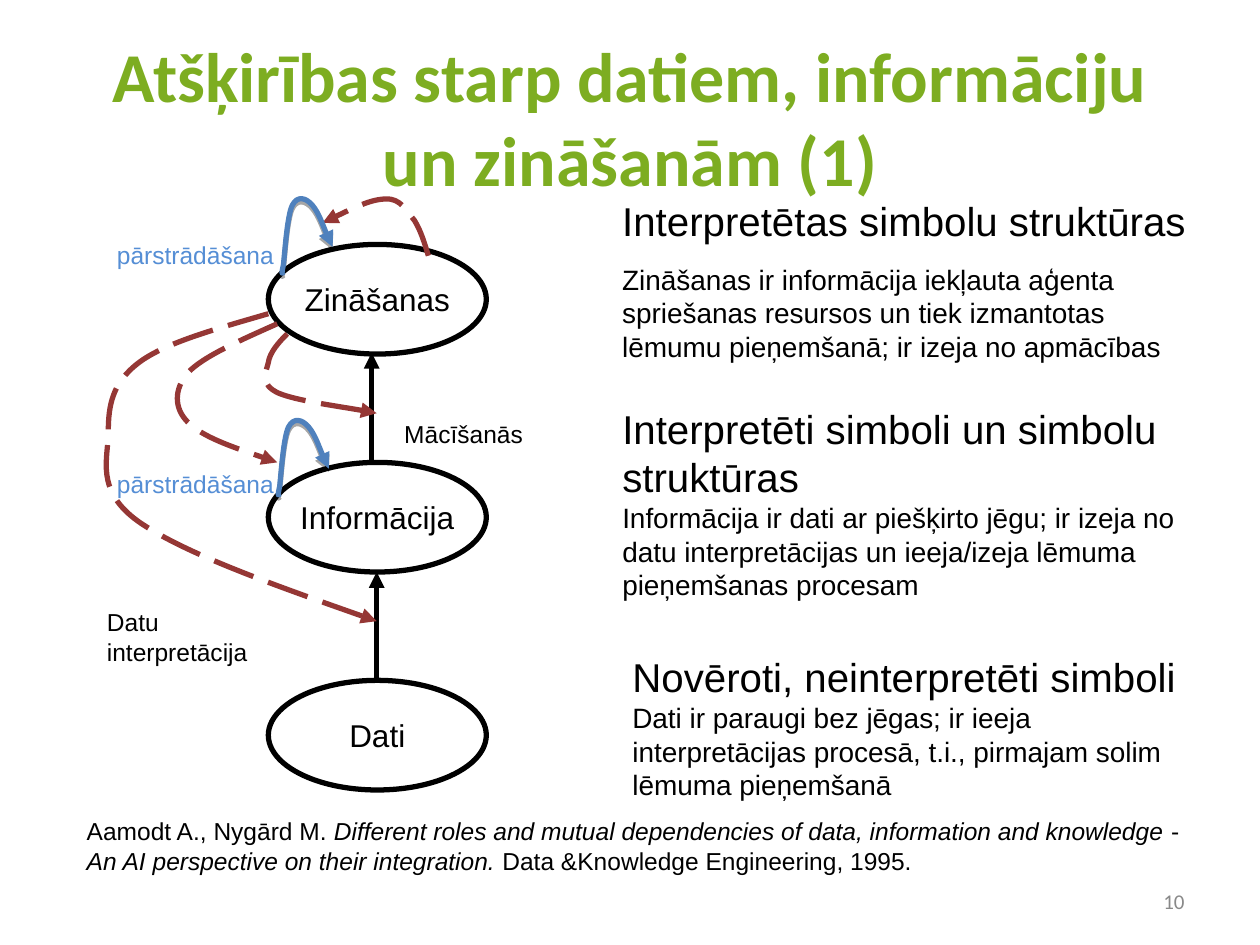
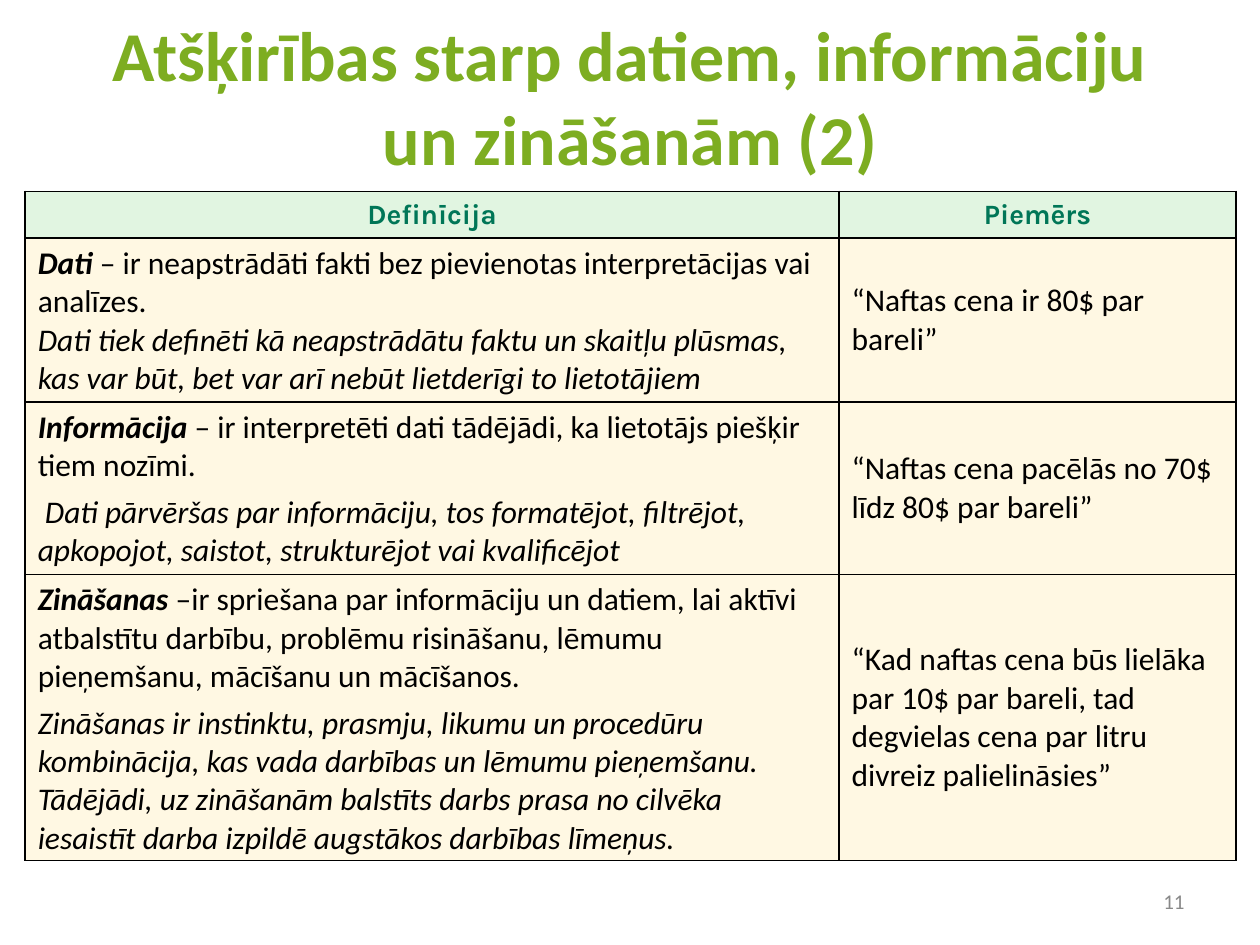
from lxml import etree
from pptx import Presentation
from pptx.dml.color import RGBColor
from pptx.enum.dml import MSO_LINE
from pptx.enum.shapes import MSO_CONNECTOR, MSO_SHAPE
from pptx.enum.text import MSO_ANCHOR, MSO_AUTO_SIZE, PP_ALIGN
from pptx.oxml.ns import qn
from pptx.util import Inches, Pt

OVAL, RECT = MSO_SHAPE.OVAL, MSO_SHAPE.RECTANGLE
STRAIGHT, DASH = MSO_CONNECTOR.STRAIGHT, MSO_LINE.LONG_DASH
MIDDLE, FIXED = MSO_ANCHOR.MIDDLE, MSO_AUTO_SIZE.NONE
LEFT, CENTER, RIGHT = PP_ALIGN.LEFT, PP_ALIGN.CENTER, PP_ALIGN.RIGHT
TITLE_ONLY = 5
COLS, ROWS = 100, 75


def paint(code):
    return RGBColor.from_string(code)


def add(node, tag, **attrs):
    return etree.SubElement(node, qn(tag), attrs)


class Deck:
    green, black, white, gray = "7DAD21", "000000", "FFFFFF", "898989"
    blue, sky, red = "4F81BD", "558ED5", "953735"
    head, mint, cream = "007657", "E1F5E1", "FFF8E3"
    sans, body = "Arial", "Calibri"

    def __init__(self):
        self.show = Presentation()
        self.show.slide_width, self.show.slide_height = Inches(10), Inches(7.5)
        self.slide = None

    def x(self, cols):
        return round(self.show.slide_width * cols / COLS)

    def y(self, rows):
        return round(self.show.slide_height * rows / ROWS)

    def box(self, left, top, wide, high):
        return self.x(left), self.y(top), self.x(wide), self.y(high)

    def style(self, para, size, color, face, align=LEFT, gap=0, bold=False):
        para.alignment = align
        para.space_before = Pt(gap)
        font = para.font
        font.size, font.name, font.bold = Pt(size), face, bold
        font.color.rgb = paint(color)

    def runs(self, para, parts):
        for text, mode in parts:
            run = para.add_run()
            run.text = text
            if mode:
                run.font.bold = "b" in mode
                run.font.italic = "i" in mode

    def page(self, title, top, number):
        layout = self.show.slide_layouts[TITLE_ONLY]
        self.slide = self.show.slides.add_slide(layout)
        shape = self.slide.shapes.title
        shape.left, shape.top, shape.width, shape.height = self.box(5, top, 90, 12.5)
        frame = shape.text_frame
        frame.text = ""
        frame.auto_size, frame.vertical_anchor = FIXED, MIDDLE
        para = frame.paragraphs[0]
        para.text = title
        self.style(para, 40, self.green, self.body, CENTER, bold=True)
        foot = self.label(number, (71.7, 69.5, 23.3, 4), 12, self.gray, self.body, RIGHT)
        foot.vertical_anchor = MIDDLE

    def label(self, text, area, size=14, color=black, face=sans, align=LEFT):
        frame = self.slide.shapes.add_textbox(*self.box(*area)).text_frame
        frame.word_wrap = True
        para = frame.paragraphs[0]
        para.text = text
        self.style(para, size, color, face, align)
        return frame

    def note(self, head, text, area, gap=0):
        frame = self.label(head, area, 23)
        para = frame.add_paragraph()
        para.text = text
        self.style(para, 16, self.black, self.sans, gap=gap)

    def shape(self, kind, area):
        item = self.slide.shapes.add_shape(kind, *self.box(*area))
        item.shadow.inherit = False
        return item

    def source(self, parts, area):
        item = self.shape(RECT, area)
        item.fill.solid()
        item.fill.fore_color.rgb = paint(self.white)
        item.line.fill.background()
        frame = item.text_frame
        frame.word_wrap, frame.vertical_anchor = True, MSO_ANCHOR.TOP
        self.runs(frame.paragraphs[0], parts)
        self.style(frame.paragraphs[0], 14, self.black, self.sans)

    def oval(self, text, area):
        item = self.shape(OVAL, area)
        item.fill.background()
        self.stroke(item, self.black)
        frame = item.text_frame
        frame.word_wrap, frame.vertical_anchor = False, MIDDLE
        frame.paragraphs[0].text = text
        self.style(frame.paragraphs[0], 18, self.black, self.sans, CENTER)

    def stroke(self, item, color):
        item.line.width = Pt(3)
        item.line.color.rgb = paint(color)

    def tip(self, item):
        add(item.line._get_or_add_ln(), "a:tailEnd", type="triangle")

    def arrow(self, col, start, end):
        x = self.x(col)
        item = self.slide.shapes.add_connector(STRAIGHT, x, self.y(start), x, self.y(end))
        self.stroke(item, self.black)
        self.tip(item)
        add(item._element.spPr, "a:effectLst")

    def curve(self, points, color, dash=None):
        spots = [(self.x(col), self.y(row)) for col, row in points]
        maker = self.slide.shapes.build_freeform(*spots[0])
        maker.add_line_segments(spots[1:], close=False)
        item = maker.convert_to_shape()
        item.fill.background()
        self.stroke(item, color)
        if dash:
            item.line.dash_style = dash
        self.tip(item)
        item.shadow.inherit = False
        steps = list(item._element.iter(qn("a:lnTo")))
        for at in range(0, len(steps), 3):
            bend = add(steps[at].getparent(), "a:cubicBezTo")
            for step in steps[at:at + 3]:
                bend.append(step[0])
                step.getparent().remove(step)
        return item

    def loop(self, left, top):
        shift = [(0.2, 6.1), (0.1, 6.2), (0, 6.4), (0.2, 5.5), (0.3, 4.6), (0.5, 1.6),
                 (0.9, 0.8), (1.3, 0), (2, 0.2), (2.5, 0.8), (3, 1.4), (3.8, 3.6), (4.1, 4.1)]
        item = self.curve([(left + col, top + row) for col, row in shift], self.blue)
        effect = item._element.spPr.find(qn("a:effectLst"))
        shade = add(effect, "a:outerShdw", blurRad="0", dist=str(Pt(1.8)),
                    dir="5400000", rotWithShape="0")
        tone = add(shade, "a:srgbClr", val=self.black)
        add(tone, "a:alpha", val="35000")

    def cell(self, cell, paras, fill, size, color, face, **look):
        props = cell._tc.get_or_add_tcPr()
        for side in ("a:lnL", "a:lnR", "a:lnT", "a:lnB"):
            edge = add(props, side, w=str(Pt(1.08)))
            add(add(edge, "a:solidFill"), "a:srgbClr", val=self.black)
        cell.fill.solid()
        cell.fill.fore_color.rgb = paint(fill)
        cell.vertical_anchor = MIDDLE
        cell.margin_left = cell.margin_right = Inches(0.1)
        cell.margin_top = cell.margin_bottom = Inches(0.05)
        frame = cell.text_frame
        for index, (gap, parts) in enumerate(paras):
            para = frame.add_paragraph() if index else frame.paragraphs[0]
            self.runs(para, parts)
            self.style(para, size, color, face, gap=gap, **look)

    def table(self, heads, rows, area, widths, heights):
        frame = self.slide.shapes.add_table(len(rows) + 1, len(heads), *self.box(*area))
        grid = frame.table
        for col, wide in zip(grid.columns, widths):
            col.width = self.x(wide)
        for row, high in zip(grid.rows, heights):
            row.height = self.y(high)
        for col, text in enumerate(heads):
            self.cell(grid.cell(0, col), [(0, [(text, "")])], self.mint, 16,
                      self.head, "Karla", align=CENTER, bold=True)
        for index, (term, text, gap, extra, case) in enumerate(rows, 1):
            paras = [(0, [(term, "bi"), (text, "")]), (gap, [(extra, "i")])]
            for col, part in enumerate((paras, [(0, [(case, "")])])):
                self.cell(grid.cell(index, col), part, self.cream, 18, self.black, self.body)


def levels(deck):
    deck.page("Atšķirības starp datiem, informāciju\nun zināšanām (1)", 3, "10")
    deck.source([
        ("Aamodt A., Nygārd M. ", ""),
        ("Different roles and mutual dependencies of data, information and knowledge", "i"),
        (" - ", ""),
        ("An AI perspective on their integration. ", "i"),
        ("Data &Knowledge Engineering, 1995.", ""),
    ], (5.9, 64.3, 91.4, 5.7))
    for index, name in enumerate(("Zināšanas", "Informācija", "Dati")):
        deck.oval(name, (21.3, 19.4 + 17.3 * index, 17.3, 8.7))
    deck.arrow(29.9, 54, 45.4)
    deck.arrow(29.5, 36.7, 28)
    deck.loop(22, 33.1)
    for points in (
        [(22.8, 26.5), (22.1, 27.2), (21.4, 28), (21.3, 28.8), (21.1, 29.6),
         (20.6, 30.5), (22.1, 31.2), (23.5, 31.8), (28.6, 32.5), (29.9, 32.8)],
        [(22, 25.7), (19.1, 27), (16.1, 28.3), (14.9, 29.6), (13.8, 30.9),
         (13.8, 32.4), (14.9, 33.5), (16.1, 34.7), (19.1, 35.7), (22, 36.7)],
        [(21.3, 24.9), (17.2, 26.1), (13.1, 27.2), (11, 28.8), (8.9, 30.4),
         (8.6, 32.2), (8.6, 34.3), (8.6, 36.4), (7.5, 38.9), (11, 41.4),
         (14.6, 43.9), (22.2, 46.6), (29.9, 49.3)],
        [(34, 20.3), (33.7, 19.3), (33.4, 18.3), (32.9, 17.5), (32.3, 16.8),
         (31.8, 15.7), (30.6, 15.8), (29.4, 15.8), (26.4, 17.3), (25.6, 17.7)],
    ):
        deck.curve(points, deck.red, DASH)
    for top in (18.6, 36.7):
        deck.label("pārstrādāšana", (8.3, top, 15, 3.3), color=deck.sky)
    deck.label("Datu interpretācija", (7.5, 47.7, 16.5, 5.7))
    deck.label("Mācīšanās", (31.1, 32.8, 11.8, 3.3))
    deck.note("Novēroti, neinterpretēti simboli",
              "Dati ir paraugi bez jēgas; ir ieeja interpretācijas procesā, t.i., "
              "pirmajam solim lēmuma pieņemšanā", (49.2, 51.3, 46.5, 12.8))
    deck.note("Interpretēti simboli un simbolu struktūras",
              "Informācija ir dati ar piešķirto jēgu; ir izeja no datu interpretācijas "
              "un ieeja/izeja lēmuma pieņemšanas procesam", (48.4, 31.6, 46.5, 16.7))
    deck.note("Interpretētas simbolu struktūras",
              "Zināšanas ir informācija iekļauta aģenta spriešanas resursos un tiek "
              "izmantotas lēmumu pieņemšanā; ir izeja no apmācības",
              (48.4, 15.1, 47.3, 14.2), 10)
    deck.loop(22.3, 15.5)


def terms(deck):
    deck.page("Atšķirības starp datiem, informāciju\nun zināšanām (2)", 1.3, "11")
    deck.table(("Definīcija", "Piemērs"), [
        ("Dati ", "– ir neapstrādāti fakti bez pievienotas interpretācijas vai analīzes.", 0,
         "Dati tiek definēti kā neapstrādātu faktu un skaitļu plūsmas, kas var būt, "
         "bet var arī nebūt lietderīgi to lietotājiem",
         "“Naftas cena ir 80$ par bareli”"),
        ("Informācija", " – ir interpretēti dati tādējādi, ka lietotājs piešķir tiem nozīmi.", 4.5,
         " Dati pārvēršas par informāciju, tos formatējot, filtrējot, apkopojot, "
         "saistot, strukturējot vai kvalificējot",
         "“Naftas cena pacēlās no 70$ līdz 80$ par bareli”"),
        ("Zināšanas", " –ir spriešana par informāciju un datiem, lai aktīvi atbalstītu "
         "darbību, problēmu risināšanu, lēmumu pieņemšanu, mācīšanu un mācīšanos.", 4.5,
         "Zināšanas ir instinktu, prasmju, likumu un procedūru kombinācija, kas vada "
         "darbības un lēmumu pieņemšanu. Tādējādi, uz zināšanām balstīts darbs prasa no "
         "cilvēka iesaistīt darba izpildē augstākos darbības līmeņus.",
         "“Kad naftas cena būs lielāka par 10$ par bareli, tad degvielas cena par litru "
         "divreiz palielināsies”"),
    ], (2, 15.2, 96.1, 53.1), (64.6, 31.5), (3.7, 13, 13.7, 22.7))


def main():
    deck = Deck()
    levels(deck)
    terms(deck)
    deck.show.save("out.pptx")


if __name__ == "__main__":
    main()
